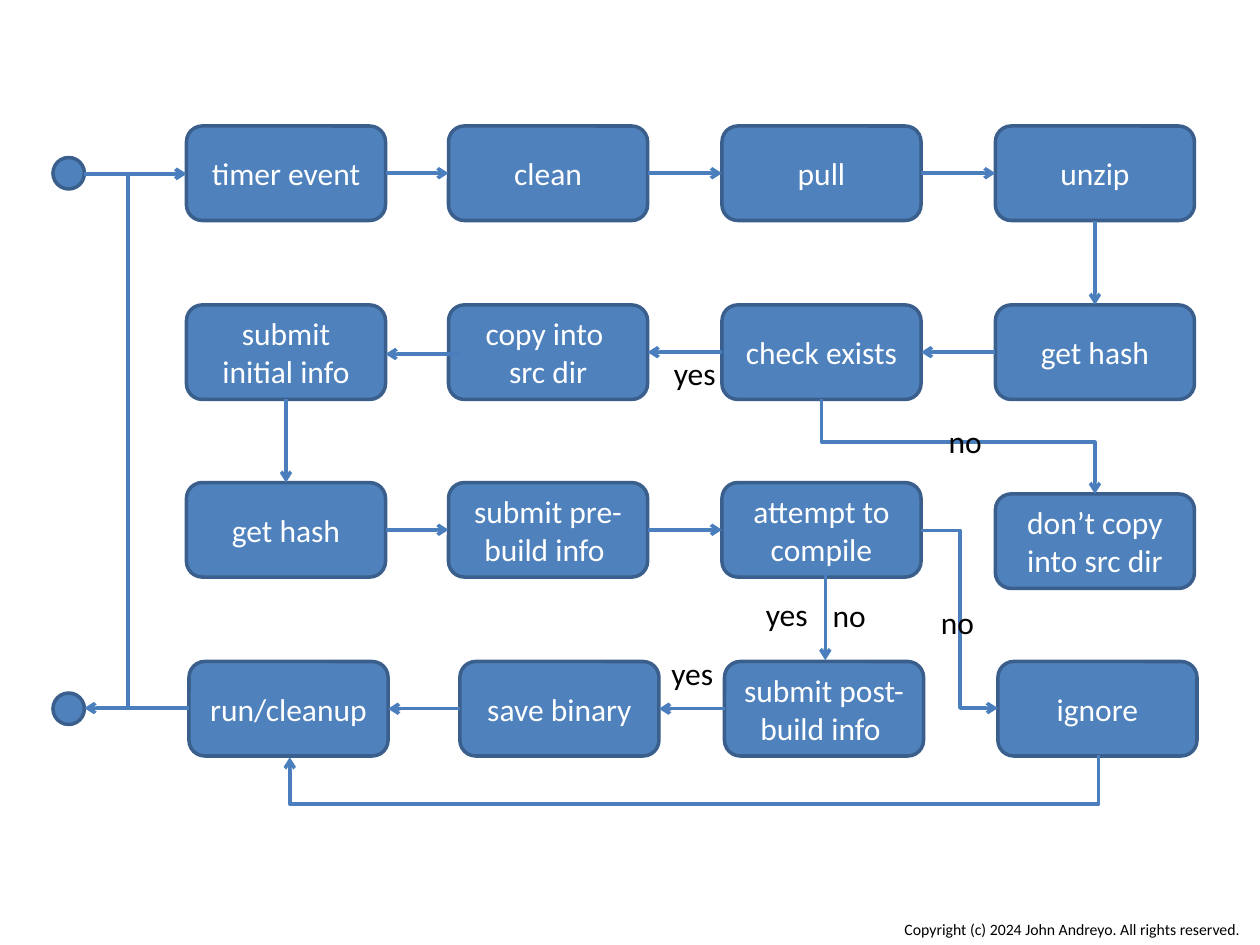
from typing import NamedTuple

from lxml import etree
from pptx import Presentation
from pptx.dml.color import RGBColor
from pptx.enum.shapes import MSO_CONNECTOR, MSO_SHAPE
from pptx.enum.text import MSO_ANCHOR, PP_ALIGN
from pptx.oxml.ns import qn
from pptx.util import Inches, Pt

ROUND, OVAL = MSO_SHAPE.ROUNDED_RECTANGLE, MSO_SHAPE.OVAL
STRAIGHT, ELBOW = MSO_CONNECTOR.STRAIGHT, MSO_CONNECTOR.ELBOW
CENTER, MIDDLE = PP_ALIGN.CENTER, MSO_ANCHOR.MIDDLE
TOP, LEFT, BOTTOM, RIGHT = range(4)

FILL, EDGE, WIRE = "4F81BD", "3A5F8C", "4B7EBC"
WHITE, BLACK = "FFFFFF", "000000"
BOX_W, BOX_H, DOT = 1.58, 0.75, 0.25


class Step(NamedTuple):
    key: str
    text: str
    x: float
    y: float


class Link(NamedTuple):
    start: str
    out: int
    end: str
    into: int


class Wire(NamedTuple):
    x1: float
    y1: float
    x2: float
    y2: float


class Bend(NamedTuple):
    x1: float
    y1: float
    x2: float
    y2: float
    mid: float
    down: bool  # leaves vertically; mid is then a height


class Label(NamedTuple):
    text: str
    x: float
    y: float
    w: float
    h: float = 0.4
    size: int = 18


COLS = (1.48, 3.56, 5.73, 7.9)
LAST = (1.5, 3.65, 5.75, 7.92)
ROWS = (1, 2.42, 3.83, 5.25)
TEXTS = (
    ("timer event", "clean", "pull", "unzip"),
    ("submit initial info", "copy into \nsrc dir", "check exists", "get hash"),
    ("get hash", "submit pre-build info ", "attempt to compile",
     "don’t copy into src dir"),
    ("run/cleanup", "save binary", "submit post-build info ", "ignore"),
)
SKIP = "C4"  # the "don't copy" box sits a little lower than its row
STEPS = []
for row, (name, y) in enumerate(zip("ABCD", ROWS)):
    for col, x in enumerate(LAST if name == "D" else COLS):
        key = f"{name}{col + 1}"
        STEPS.append(Step(key, TEXTS[row][col], x, 3.92 if key == SKIP else y))

LINKS = [
    *(Link(a, RIGHT, b, LEFT) for a, b in
      (("A1", "A2"), ("A2", "A3"), ("A3", "A4"), ("C1", "C2"), ("C2", "C3"))),
    *(Link(a, LEFT, b, RIGHT) for a, b in
      (("B4", "B3"), ("B3", "B2"), ("D3", "D2"), ("D2", "D1"))),
    *(Link(a, BOTTOM, b, TOP) for a, b in (("A4", "B4"), ("B1", "C1"))),
]
WIRES = (
    Wire(0.67, 1.38, 1.48, 1.38),
    Wire(3.65, 2.81, 3.06, 2.81),
    Wire(6.55, 4.55, 6.55, 5.24),
    Wire(1.5, 5.62, 0.67, 5.62),
)
BENDS = (
    Bend(6.52, 3.17, 8.69, 3.92, 3.51, True),
    Bend(7.31, 4.21, 7.92, 5.62, 7.62, False),
    Bend(1.5, 5.62, 1.48, 1.38, 1.02, False),
    Bend(8.72, 5.99, 2.3, 6.01, 6.38, True),
)
LABELS = (
    Label("no", 7.43, 3.3, 0.5),
    Label("yes", 5.25, 2.76, 0.65),
    Label("no", 7.37, 4.74, 0.5),
    Label("yes", 5.98, 4.67, 0.65),
    Label("no", 6.51, 4.68, 0.5),
    Label("yes", 5.23, 5.14, 0.65),
    Label("Copyright (c) 2024 John Andreyo. All rights reserved.",
          7.08, 7.25, 2.92, 0.25, 9),
)


def tint(color, code: str) -> None:
    color.rgb = RGBColor.from_string(code)


def write(frame, text: str, size: int, code: str, align=None) -> None:
    frame.text = text
    frame.word_wrap = True
    for para in frame.paragraphs:
        para.alignment = align
        for run in para.runs:
            run.font.name = "Calibri"
            run.font.size = Pt(size)
            tint(run.font.color, code)


def add_node(slide, kind, x: float, y: float, w: float, h: float):
    node = slide.shapes.add_shape(kind, Inches(x), Inches(y), Inches(w), Inches(h))
    node.shadow.inherit = False
    node.fill.solid()
    tint(node.fill.fore_color, FILL)
    tint(node.line.color, EDGE)
    node.line.width = Pt(2)
    return node


def add_step(slide, step: Step):
    box = add_node(slide, ROUND, step.x, step.y, BOX_W, BOX_H)
    box.text_frame.vertical_anchor = MIDDLE
    write(box.text_frame, step.text, 18, WHITE, CENTER)
    return box


def add_arrow(slide, kind, x1: float, y1: float, x2: float, y2: float):
    arrow = slide.shapes.add_connector(
        kind, Inches(x1), Inches(y1), Inches(x2), Inches(y2))
    tint(arrow.line.color, WIRE)
    arrow.line.width = Pt(2)
    props = arrow._element.spPr
    etree.SubElement(props.find(qn("a:ln")), qn("a:tailEnd"), type="arrow")
    etree.SubElement(props, qn("a:effectLst"))
    return arrow


def add_link(slide, link: Link, boxes: dict) -> None:
    arrow = add_arrow(slide, STRAIGHT, 0, 0, 1, 1)
    arrow.begin_connect(boxes[link.start], link.out)
    arrow.end_connect(boxes[link.end], link.into)


def add_bend(slide, bend: Bend) -> None:
    x1, y1, x2, y2, mid, down = bend
    if down:
        # Lay the elbow on its side about its centre, then turn it
        w, h = y2 - y1, abs(x2 - x1)
        x, y = (x1 + x2 - w) / 2, (y1 + y2 - h) / 2
        arrow = add_arrow(slide, ELBOW, x, y, x + w, y + h)
        frame = arrow._element.spPr.find(qn("a:xfrm"))
        frame.set("rot", str((270 if x2 > x1 else 90) * 60000))
        if x2 > x1:
            frame.set("flipH", "1")
        part = (mid - y1) / (y2 - y1)
    else:
        arrow = add_arrow(slide, ELBOW, x1, y1, x2, y2)
        part = (mid - x1) / (x2 - x1)
    guides = arrow._element.spPr.find(qn("a:prstGeom")).find(qn("a:avLst"))
    etree.SubElement(guides, qn("a:gd"), name="adj1",
                     fmla=f"val {round(part * 100000)}")


def add_label(slide, label: Label) -> None:
    box = slide.shapes.add_textbox(
        Inches(label.x), Inches(label.y), Inches(label.w), Inches(label.h))
    write(box.text_frame, label.text, label.size, BLACK)


def main() -> None:
    deck = Presentation()
    deck.slide_width, deck.slide_height = Inches(10), Inches(7.5)
    slide = deck.slides.add_slide(deck.slide_layouts[6])

    # Steps, with the start and end dots
    boxes = {step.key: add_step(slide, step) for step in STEPS}
    for y in (1.25, 5.5):
        add_node(slide, OVAL, 0.42, y, DOT, DOT)

    # Arrows
    for link in LINKS:
        add_link(slide, link, boxes)
    for wire in WIRES:
        add_arrow(slide, STRAIGHT, *wire)
    for bend in BENDS:
        add_bend(slide, bend)

    # Branch labels and footer
    for label in LABELS:
        add_label(slide, label)

    deck.save("out.pptx")


if __name__ == "__main__":
    main()
